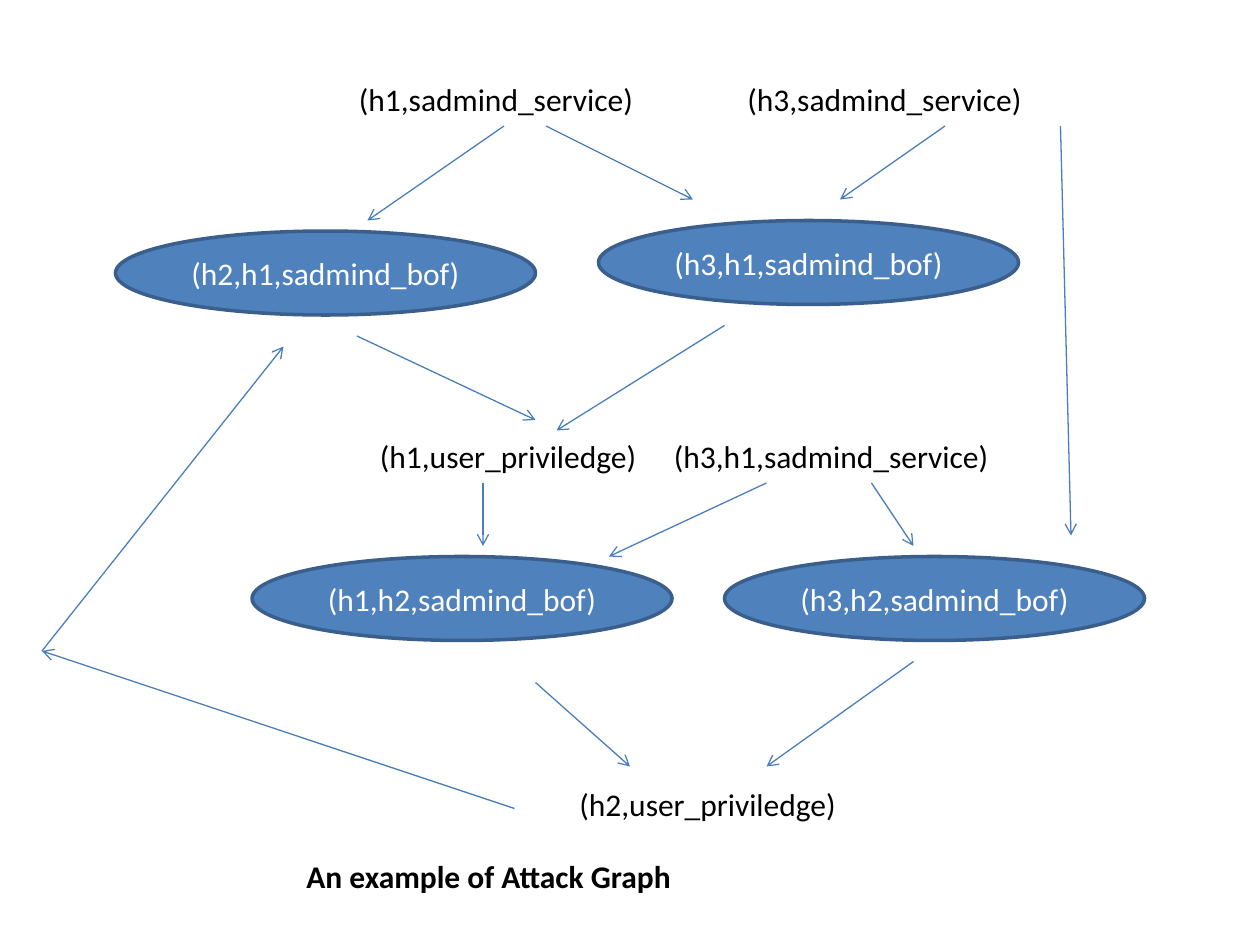
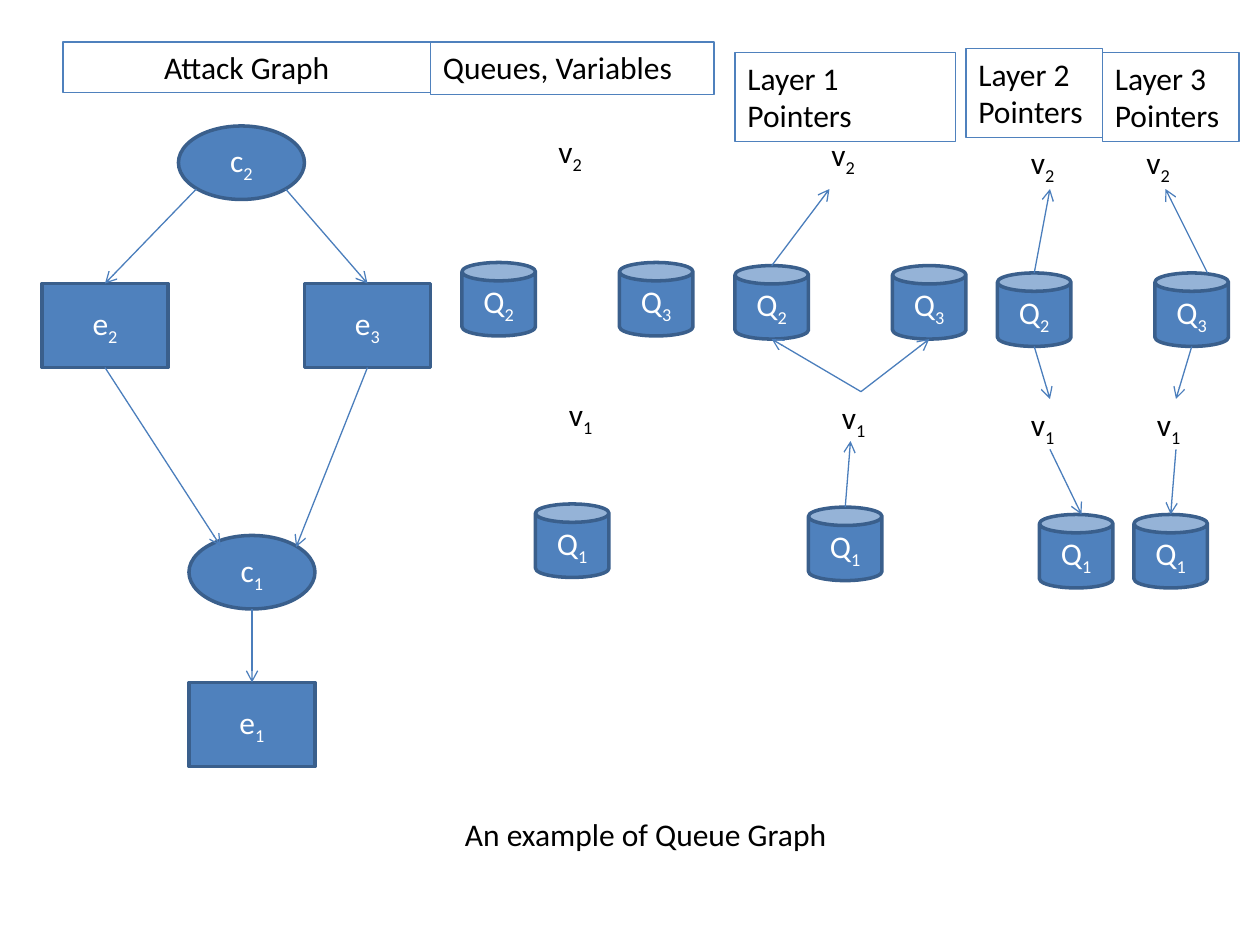
"""Build two slides: an attack graph and the queue graph derived from it."""
from dataclasses import dataclass

from lxml.etree import SubElement
from pptx import Presentation
from pptx.dml.color import RGBColor
from pptx.enum.shapes import MSO_CONNECTOR, MSO_SHAPE
from pptx.enum.text import MSO_ANCHOR, MSO_AUTO_SIZE, PP_ALIGN
from pptx.oxml.ns import qn
from pptx.util import Pt

EMU_PER_PX = 7620
TOP, BOTTOM = 0, 2


@dataclass(frozen=True)
class Theme:
    font: str = "Calibri"
    size: int = 18
    subscript: str = "-25000"
    ink: RGBColor = RGBColor(0x00, 0x00, 0x00)
    paper: RGBColor = RGBColor(0xFF, 0xFF, 0xFF)
    node: RGBColor = RGBColor(0x4F, 0x81, 0xBD)
    outline: RGBColor = RGBColor(0x3A, 0x5F, 0x8C)
    arrow: RGBColor = RGBColor(0x4B, 0x7E, 0xBC)
    outline_width: float = 2
    thin_width: float = 0.75


class Painter:
    def __init__(self, deck, theme):
        self.deck = deck
        self.theme = theme
        self.page = None

    def new_page(self):
        self.page = self.deck.slides.add_slide(self.deck.slide_layouts[6])

    def scaled(self, *lengths):
        return [length * EMU_PER_PX for length in lengths]

    def set_text(self, frame, text, sub, color, align, bold=False):
        frame.word_wrap = True
        para = frame.paragraphs[0]
        para.alignment = align
        para.add_run().text = text
        if sub:
            span = para.add_run()
            span.text = sub
            span._r.get_or_add_rPr().set("baseline", self.theme.subscript)
        para.font.name = self.theme.font
        para.font.size = Pt(self.theme.size)
        para.font.bold = bold
        para.font.color.rgb = color

    def stroke(self, line, color, width):
        line.color.rgb = color
        line.width = Pt(width)

    def label(self, area, text, sub="", align=PP_ALIGN.LEFT, bold=False):
        box = self.page.shapes.add_textbox(*self.scaled(*area))
        self.set_text(box.text_frame, text, sub, self.theme.ink, align, bold)
        box.text_frame.auto_size = MSO_AUTO_SIZE.SHAPE_TO_FIT_TEXT
        return box

    def header(self, area, text, align=PP_ALIGN.LEFT):
        box = self.label(area, text, align=align)
        self.stroke(box.line, self.theme.node, self.theme.thin_width)

    def node(self, kind, area, text, sub=""):
        shape = self.page.shapes.add_shape(kind, *self.scaled(*area))
        shape.shadow.inherit = False
        shape.fill.solid()
        shape.fill.fore_color.rgb = self.theme.node
        self.stroke(shape.line, self.theme.outline, self.theme.outline_width)
        shape.text_frame.vertical_anchor = MSO_ANCHOR.MIDDLE
        self.set_text(shape.text_frame, text, sub, self.theme.paper, PP_ALIGN.CENTER)
        return shape

    def arrow(self, ends, source=None, target=None):
        link = self.page.shapes.add_connector(MSO_CONNECTOR.STRAIGHT, *self.scaled(*ends))
        if source:
            link.begin_connect(source, BOTTOM)
        if target:
            link.end_connect(target, TOP)
        self.stroke(link.line, self.theme.arrow, self.theme.thin_width)
        SubElement(link.line._get_or_add_ln(), qn("a:tailEnd"), type="arrow")
        SubElement(link._element.spPr, qn("a:effectLst"))


def attack_graph(painter):
    painter.new_page()
    facts = [
        ((330, 70, 300, 50), "(h1,sadmind_service)"),
        ((700, 70, 300, 50), "(h3,sadmind_service)"),
        ((350, 410, 270, 48), "(h1,user_priviledge)"),
        ((630, 410, 350, 48), "(h3,h1,sadmind_service)"),
        ((540, 742, 270, 48), "(h2,user_priviledge)"),
    ]
    for area, text in facts:
        painter.label(area, text)
    exploits = [(110, 220, "h2,h1"), (570, 210, "h3,h1"), (240, 530, "h1,h2"), (690, 530, "h3,h2")]
    for left, top, hosts in exploits:
        painter.node(MSO_SHAPE.OVAL, (left, top, 400, 80), f"({hosts},sadmind_bof)")
    arrows = [
        (480, 120, 350, 210), (520, 120, 660, 190), (900, 120, 800, 190),
        (690, 310, 530, 410), (340, 320, 510, 400), (830, 460, 870, 520),
        (730, 460, 580, 530), (460, 460, 460, 520), (510, 650, 600, 730),
        (870, 630, 730, 730), (490, 770, 40, 620), (40, 620, 270, 330),
        (1010, 120, 1020, 510),
    ]
    for ends in arrows:
        painter.arrow(ends)
    painter.label((280, 810, 770, 50), "An example of Attack Graph", bold=True)


def small_attack_graph(painter):
    for left, top, sub in [(170, 120, "2"), (180, 510, "1")]:
        painter.node(MSO_SHAPE.OVAL, (left, top, 120, 70), "c", sub)
    e2, e3, e1 = [
        painter.node(MSO_SHAPE.RECTANGLE, (left, top, 120, 80), "e", sub)
        for left, top, sub in [(40, 270, "2"), (290, 270, "3"), (180, 650, "1")]
    ]
    painter.arrow((187, 180, 100, 270), target=e2)
    painter.arrow((272, 180, 350, 270), target=e3)
    painter.arrow((350, 350, 282, 521), source=e3)
    painter.arrow((100, 350, 210, 520), source=e2)
    painter.arrow((240, 580, 240, 650), target=e1)


def queue_panel(painter, top, v2_lefts, q2_left, v1_lefts, q1_lefts, arrows):
    for left in v2_lefts:
        painter.label((left, top, 60, 50), "v", "2")
    for left in v1_lefts:
        painter.label((left, top + 250, 60, 48), "v", "1")
    queues = [(q2_left, 130, "2"), (q2_left + 150, 130, "3")]
    queues += [(left, 360, "1") for left in q1_lefts]
    for left, drop, sub in queues:
        painter.node(MSO_SHAPE.CAN, (left, top + drop, 70, 70), "Q", sub)
    for ends in arrows:
        painter.arrow(ends)


def queue_graph(painter):
    painter.new_page()
    small_attack_graph(painter)
    layer_1_arrows = [
        (735, 253, 790, 180), (820, 373, 735, 323),
        (820, 373, 885, 323), (805, 483, 810, 420),
    ]
    layer_2_and_3_arrows = [
        (985, 260, 1000, 180), (1150, 260, 1110, 180), (985, 330, 1000, 380),
        (1135, 330, 1120, 380), (1000, 428, 1030, 490), (1120, 428, 1115, 490),
    ]
    queue_panel(painter, 120, [520], 440, [530], [510], [])
    queue_panel(painter, 123, [780], 700, [790], [770], layer_1_arrows)
    queue_panel(painter, 130, [970, 1080], 950, [970, 1090], [990, 1080], layer_2_and_3_arrows)
    painter.header((60, 40, 350, 48), "Attack Graph", PP_ALIGN.CENTER)
    painter.header((410, 40, 270, 50), "Queues, Variables")
    layers = [(700, 50, 210), (920, 46, 130), (1050, 50, 130)]
    for number, (left, top, width) in enumerate(layers, 1):
        painter.header((left, top, width, 85), f"Layer {number} Pointers")
    painter.label((20, 770, 1190, 48), "An example of Queue Graph", align=PP_ALIGN.CENTER)


def main():
    deck = Presentation()
    painter = Painter(deck, Theme())
    deck.slide_width, deck.slide_height = painter.scaled(1200, 900)
    attack_graph(painter)
    queue_graph(painter)
    deck.save("out.pptx")


if __name__ == "__main__":
    main()
